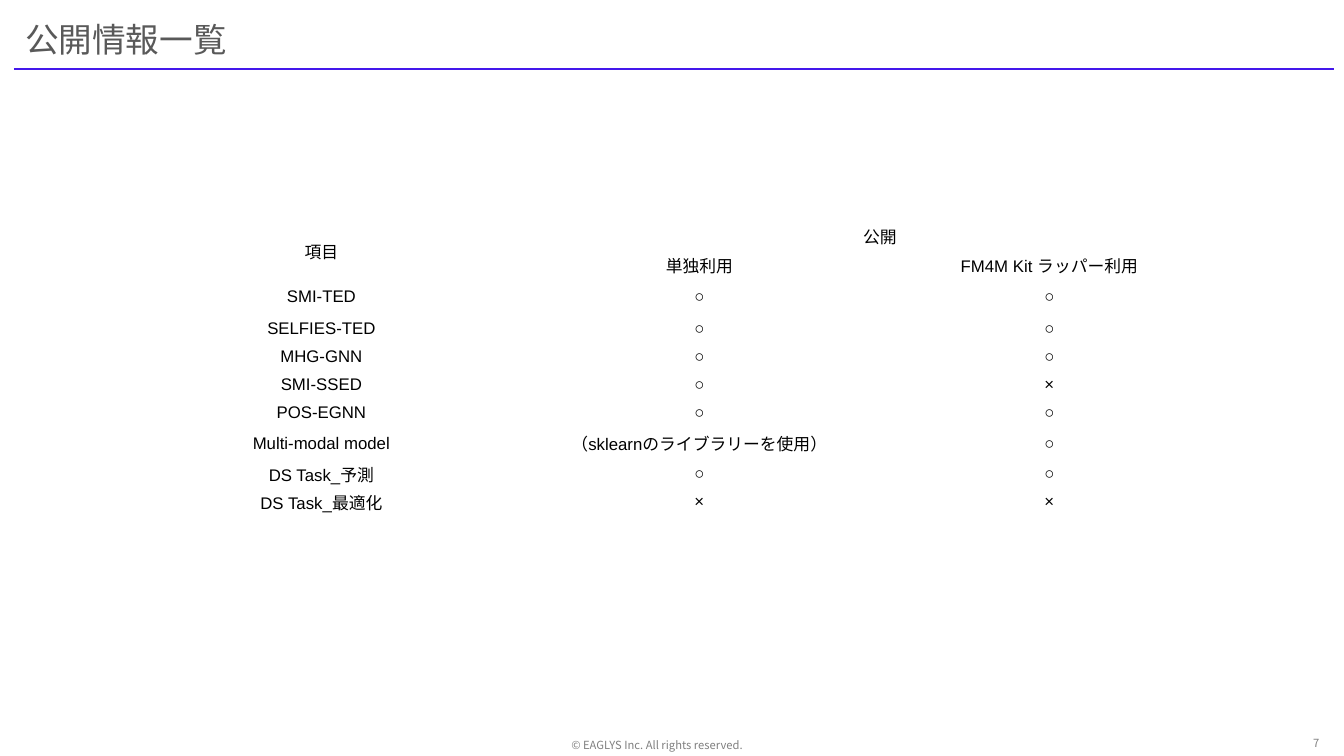
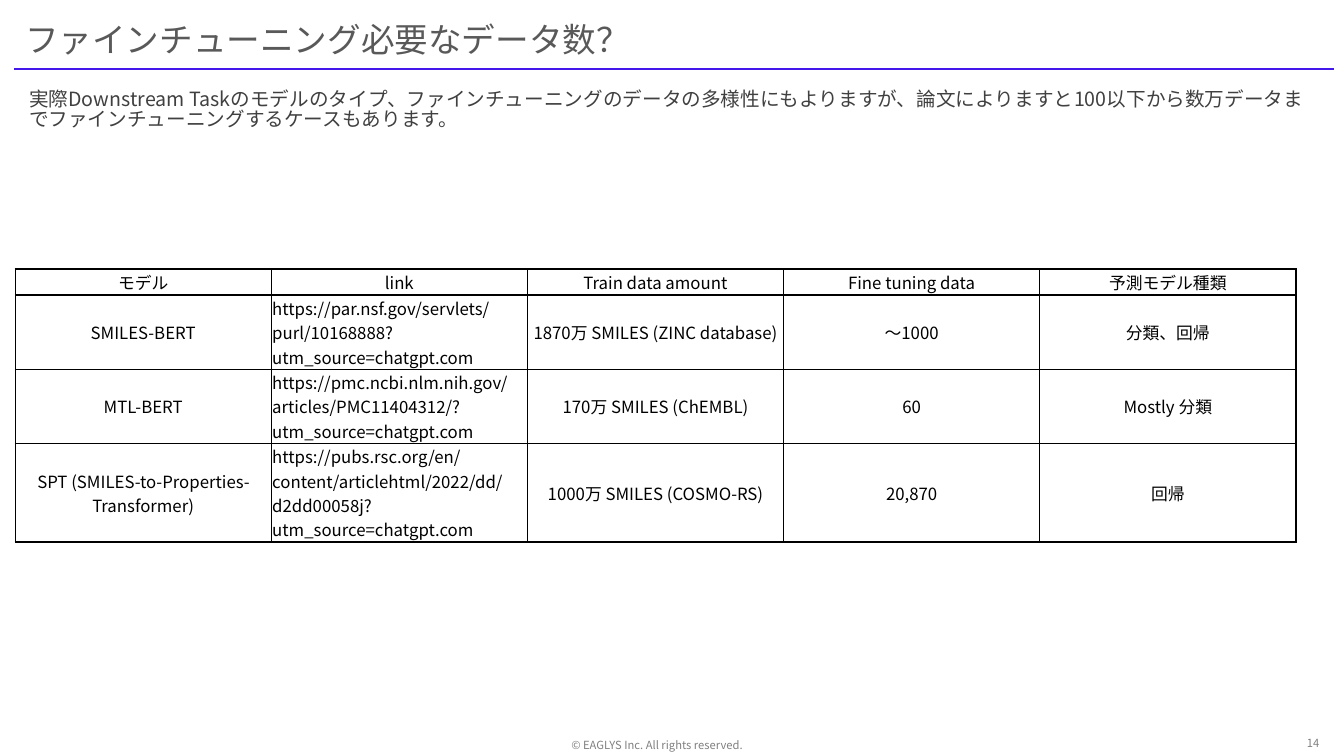
import pptx
import pptx.dml.color
import pptx.enum.shapes
import pptx.enum.text
import pptx.oxml
import pptx.oxml.ns
import pptx.util

Pt = pptx.util.Pt
ALIGN = pptx.enum.text.PP_ALIGN
MIDDLE = pptx.enum.text.MSO_ANCHOR.MIDDLE
TOP = pptx.enum.text.MSO_ANCHOR.TOP
GOTHIC = "Noto Sans CJK JP"
COLORS = {"rule": "4418EB", "title": "595959", "body": "404040",
          "footer": "808080", "table": "000000"}
NAMESPACE = pptx.oxml.ns.nsdecls("a")


def write(frame, text, size, color, align=ALIGN.LEFT, font=GOTHIC):
    """Put one paragraph of styled text into a text frame."""
    frame.word_wrap = True
    para = frame.paragraphs[0]
    para.text = text
    para.alignment = align
    for span in para.runs:
        span.font.size = Pt(size)
        span.font.name = font
        span.font.color.rgb = pptx.dml.color.RGBColor.from_string(COLORS[color])
        latin = span.font._element.find(pptx.oxml.ns.qn("a:latin"))
        latin.addnext(pptx.oxml.parse_xml(f'<a:ea {NAMESPACE} typeface="{GOTHIC}"/>'))
    return para


def add_plain_table(page, left, top, widths, heights, rows, font, border=0):
    """Add an unfilled table; links are left-aligned, all else is centred."""
    table = page.shapes.add_table(len(heights), len(widths), Pt(left), Pt(top),
                                  Pt(sum(widths)), Pt(sum(heights))).table
    table.first_row = table.horz_banding = False
    for column, width in zip(table.columns, widths):
        column.width = Pt(width)
    for row, height, texts in zip(table.rows, heights, rows):
        row.height = Pt(height)
        for cell, text in zip(row.cells, texts):
            cell.margin_left = cell.margin_right = cell.margin_top = Pt(0.7)
            cell.margin_bottom = 0
            cell.vertical_anchor = MIDDLE
            cell.fill.background()
            align = ALIGN.LEFT if text.startswith("https") else ALIGN.CENTER
            write(cell.text_frame, text, 12, "table", align, font)
            if border:
                properties = cell._tc.get_or_add_tcPr()
                for index, side in enumerate(("lnL", "lnR", "lnT", "lnB")):
                    properties.insert(index, pptx.oxml.parse_xml(
                        f'<a:{side} {NAMESPACE} w="{Pt(border)}"><a:solidFill>'
                        f'<a:srgbClr val="{COLORS["table"]}"/></a:solidFill></a:{side}>'))
    return table


deck = pptx.Presentation()
deck.slide_width, deck.slide_height = Pt(960), Pt(540)

pages = []
for title, number in (("公開情報一覧", "7"),
                      ("ファインチューニング必要なデータ数？", "14")):
    page = deck.slides.add_slide(deck.slide_layouts[6])
    pages.append(page)

    rule = page.shapes.add_connector(pptx.enum.shapes.MSO_CONNECTOR.STRAIGHT,
                                     Pt(10), Pt(49), Pt(952.6), Pt(49))
    rule.line.color.rgb = pptx.dml.color.RGBColor.from_string(COLORS["rule"])
    rule.line.width = Pt(1.5)
    rule._element.spPr.append(pptx.oxml.parse_xml(f"<a:effectLst {NAMESPACE}/>"))

    for text, bounds, size, color, align, inset in (
            (title, (10.8, 7.9, 742.3, 39.6), 24, "title", ALIGN.LEFT, 3.6),
            ("© EAGLYS Inc. All rights reserved.", (381.6, 527.8, 175.7, 9.4),
             8, "footer", ALIGN.CENTER, 0),
            (number, (901.4, 526.3, 48.2, 9.4), 8, "footer", ALIGN.RIGHT, 0)):
        box = page.shapes.add_textbox(*map(Pt, bounds))
        frame = box.text_frame
        frame.margin_top = frame.margin_bottom = Pt(inset)
        frame.vertical_anchor = MIDDLE
        write(frame, text, size, color, align)

release_page, data_page = pages

release_rows = [
    ("項目", "公開", ""),
    ("", "単独利用", "FM4M Kit ラッパー利用"),
    ("SMI-TED", "○", "○"),
    ("SELFIES-TED", "○", "○"),
    ("MHG-GNN", "○", "○"),
    ("SMI-SSED", "○", "×"),
    ("POS-EGNN", "○", "○"),
    ("Multi-modal model", "（sklearnのライブラリーを使用）", "○"),
    ("DS Task_予測", "○", "○"),
    ("DS Task_最適化", "×", "×"),
]
release_table = add_plain_table(
    release_page, 80.6, 158.4, (298, 242, 258),
    (20, 21, 25, 20, 20, 20, 20, 24, 20, 20), release_rows, "Arial")
release_table.cell(0, 0).merge(release_table.cell(1, 0))
release_table.cell(0, 1).merge(release_table.cell(0, 2))

data_rows = [
    ("モデル", "link", "Train data amount", "Fine tuning data", "予測モデル種類"),
    ("SMILES-BERT",
     "https://par.nsf.gov/servlets/purl/10168888?utm_source=chatgpt.com",
     "1870万 SMILES (ZINC database)", "〜1000", "分類、回帰"),
    ("MTL-BERT",
     "https://pmc.ncbi.nlm.nih.gov/articles/PMC11404312/?utm_source=chatgpt.com",
     "170万 SMILES (ChEMBL)", "60", "Mostly 分類"),
    ("SPT (SMILES-to-Properties-Transformer)",
     "https://pubs.rsc.org/en/content/articlehtml/2022/dd/d2dd00058j?utm_source=chatgpt.com",
     "1000万 SMILES (COSMO-RS)", "20,870", "回帰"),
]
add_plain_table(data_page, 10.8, 192.2, [183] * 5, (18.5, 53, 53, 70.5),
                data_rows, GOTHIC, border=1)

box = data_page.shapes.add_textbox(Pt(12.2), Pt(62), Pt(937.4), Pt(39.6))
frame = box.text_frame
frame.margin_left = frame.margin_right = Pt(8.6)
frame.margin_top = frame.margin_bottom = Pt(2.9)
frame.vertical_anchor = TOP
para = write(frame, "実際Downstream Taskのモデルのタイプ、ファインチューニングのデータの多様性にもよりますが、"
             "論文によりますと100以下から数万データまでファインチューニングするケースもあります。", 14, "body")
para.line_spacing = 0.83

deck.save("out.pptx")
